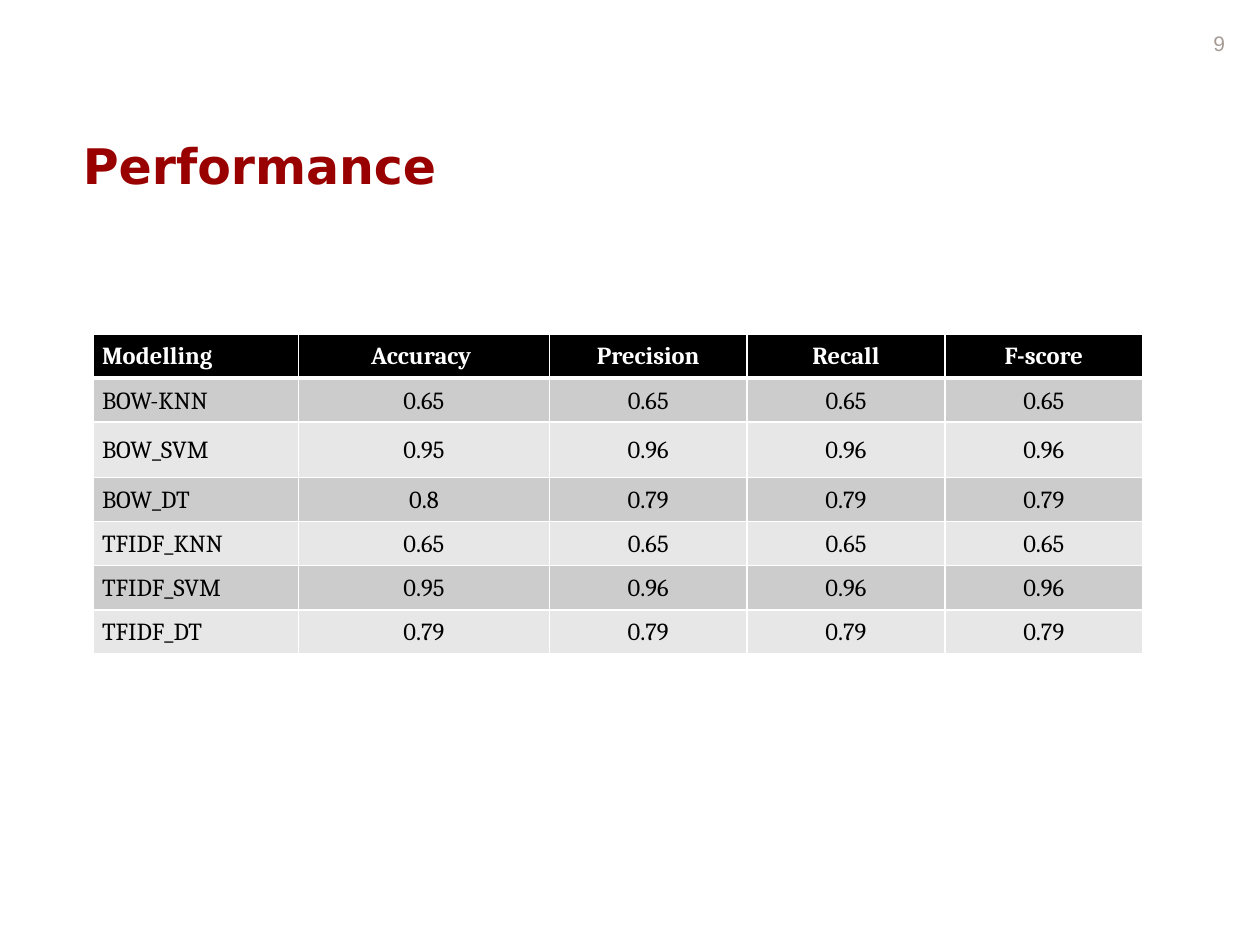
from dataclasses import dataclass

from lxml import etree
from pptx import Presentation
from pptx.dml.color import RGBColor
from pptx.enum.text import MSO_ANCHOR, PP_ALIGN
from pptx.oxml.ns import qn
from pptx.util import Emu, Inches, Pt

LEFT, CENTER, RIGHT = PP_ALIGN.LEFT, PP_ALIGN.CENTER, PP_ALIGN.RIGHT
TOP, MIDDLE = MSO_ANCHOR.TOP, MSO_ANCHOR.MIDDLE

SLIDE_WIDTH, SLIDE_HEIGHT = Inches(10), Inches(7.5)
GRID_COLUMNS, GRID_ROWS = 100, 75

COLORS = {
    "title": "990000",
    "number": "A69C95",
    "header": "000000",
    "header_text": "FFFFFF",
    "body_text": "000000",
    "odd_row": "CCCCCC",
    "even_row": "E7E7E7",
    "border": "FFFFFF",
}

HEADINGS = ("Modelling", "Accuracy ", "Precision", "Recall", "F-score")
SCORES = (
    ("BOW-KNN", "0.65", "0.65", "0.65", "0.65"),
    ("BOW_SVM", "0.95", "0.96", "0.96", "0.96"),
    ("BOW_DT", "0.8", "0.79", "0.79", "0.79"),
    ("TFIDF_KNN", "0.65", "0.65", "0.65", "0.65"),
    ("TFIDF_SVM", "0.95", "0.96", "0.96", "0.96"),
    ("TFIDF_DT", "0.79", "0.79", "0.79", "0.79"),
)
COLUMN_SPANS = (16.3, 19.9, 15.7, 15.7, 15.7)
ROW_SPANS = (3.5, 3.5, 4.4, 3.5, 3.5, 3.5, 3.5)


@dataclass(frozen=True)
class Area:
    column: float
    row: float
    columns: float
    rows: float


@dataclass(frozen=True)
class TextStyle:
    font: str
    size: float
    color: str
    bold: bool = False
    align: PP_ALIGN = LEFT


@dataclass(frozen=True)
class Label:
    text: str
    area: Area
    style: TextStyle
    anchor: MSO_ANCHOR


LABELS = (
    Label("Performance", Area(5.6, 8.4, 85, 9.4),
          TextStyle("DejaVu Sans", 28, "title", bold=True), MIDDLE),
    Label("9", Area(74.9, 1.9, 23.3, 4),
          TextStyle("Arial", 12, "number", align=RIGHT), TOP),
)
TABLE_AREA = Area(7.4, 26.5, sum(COLUMN_SPANS), sum(ROW_SPANS))


def across(columns: float) -> Emu:
    return Emu(round(SLIDE_WIDTH * columns / GRID_COLUMNS))


def down(rows: float) -> Emu:
    return Emu(round(SLIDE_HEIGHT * rows / GRID_ROWS))


def place(area: Area) -> tuple[Emu, Emu, Emu, Emu]:
    return across(area.column), down(area.row), across(area.columns), down(area.rows)


def write(frame, text: str, style: TextStyle) -> None:
    frame.text = text
    paragraph = frame.paragraphs[0]
    paragraph.alignment = style.align
    font = paragraph.runs[0].font
    font.name = style.font
    font.size = Pt(style.size)
    font.bold = style.bold
    font.color.rgb = RGBColor.from_string(COLORS[style.color])


def draw_label(slide, label: Label) -> None:
    frame = slide.shapes.add_textbox(*place(label.area)).text_frame
    frame.word_wrap = True
    frame.vertical_anchor = label.anchor
    write(frame, label.text, label.style)


def draw_borders(cell, top: float, bottom: float) -> None:
    properties = cell._tc.get_or_add_tcPr()
    sides = (("a:lnL", 1), ("a:lnR", 1), ("a:lnT", top), ("a:lnB", bottom))
    for position, (side, width) in enumerate(sides):
        line = etree.Element(qn(side), w=str(Pt(width)))
        fill = etree.SubElement(line, qn("a:solidFill"))
        etree.SubElement(fill, qn("a:srgbClr"), val=COLORS["border"])
        properties.insert(position, line)


def draw_cell(cell, text: str, row: int, column: int) -> None:
    header = row == 0
    band = "header" if header else "odd_row" if row % 2 else "even_row"
    cell.fill.solid()
    cell.fill.fore_color.rgb = RGBColor.from_string(COLORS[band])
    cell.vertical_anchor = MIDDLE
    cell.margin_left = cell.margin_right = Inches(0.07)
    cell.margin_top = cell.margin_bottom = Inches(0.04)
    write(cell.text_frame, text,
          TextStyle("Cambria", 14, "header_text" if header else "body_text",
                    header, CENTER if column else LEFT))
    paragraph = cell.text_frame.paragraphs[0]
    paragraph.line_spacing = 1.07
    paragraph.space_after = Pt(8)
    draw_borders(cell, top=3 if row == 1 else 1, bottom=3 if header else 1)


def draw_scores(slide) -> None:
    records = (HEADINGS, *SCORES)
    table = slide.shapes.add_table(
        len(records), len(HEADINGS), *place(TABLE_AREA)).table
    for column, span in zip(table.columns, COLUMN_SPANS):
        column.width = across(span)
    for row, span in zip(table.rows, ROW_SPANS):
        row.height = down(span)
    for row, record in enumerate(records):
        for column, text in enumerate(record):
            draw_cell(table.cell(row, column), text, row, column)


def main() -> None:
    deck = Presentation()
    deck.slide_width, deck.slide_height = SLIDE_WIDTH, SLIDE_HEIGHT
    slide = deck.slides.add_slide(deck.slide_layouts[6])
    for label in LABELS:
        draw_label(slide, label)
    draw_scores(slide)
    deck.save("out.pptx")


if __name__ == "__main__":
    main()
